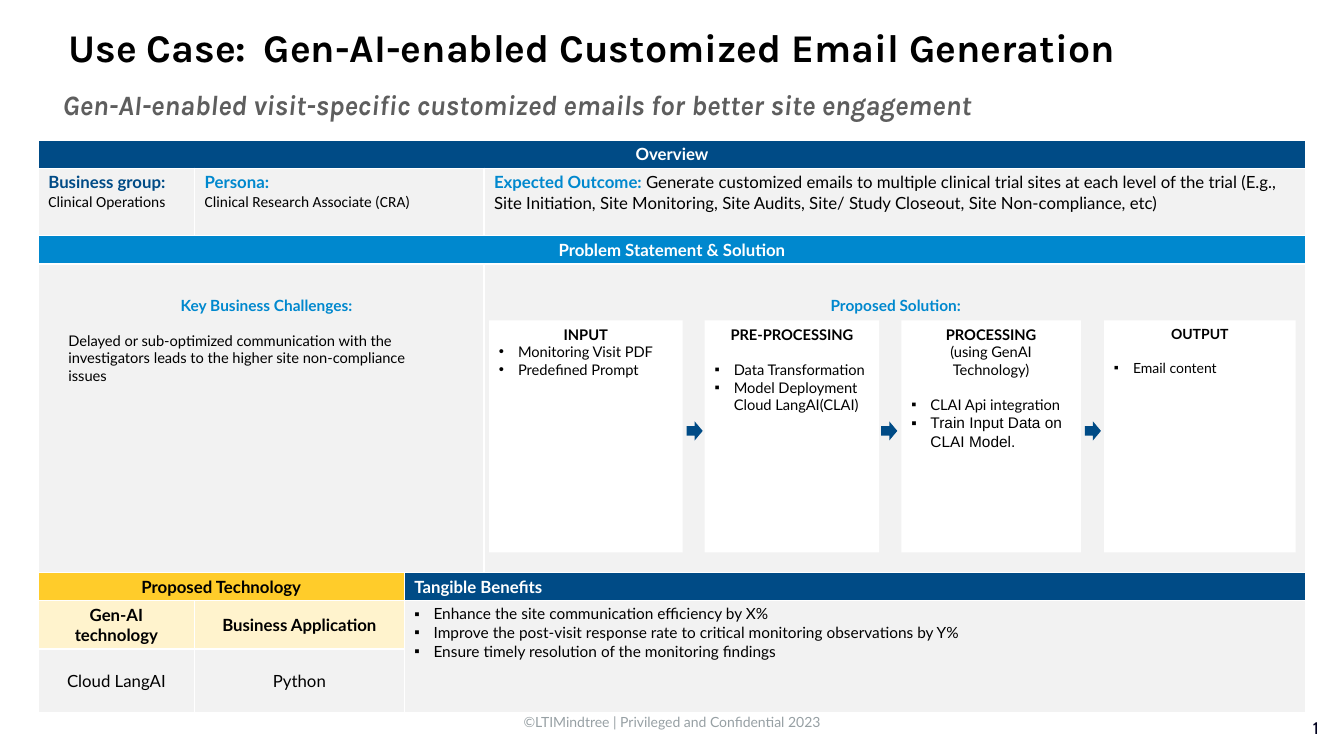
"""Build the Gen-AI customized email use case slide."""
from dataclasses import dataclass

from lxml import etree
from pptx import Presentation, util as u
from pptx.dml.color import RGBColor
from pptx.enum import shapes, text
from pptx.oxml.ns import qn


@dataclass(frozen=True)
class Theme:
    navy: str = "004B86"
    blue: str = "0088CE"
    yellow: str = "FFCC2A"
    cream: str = "FFF3CD"
    panel: str = "F2F2F2"
    white: str = "FFFFFF"
    black: str = "000000"
    grey: str = "5E5E5E"
    footer: str = "97A0A4"
    ink: str = "00001E"
    body: str = "Lato"
    heading: str = "Karla"
    title_pt: float = 28
    subtitle_pt: float = 20
    cell_pt: float = 12
    list_pt: float = 11
    step_pt: float = 10.5
    small_pt: float = 10


T = Theme()
CENTER, RIGHT = text.PP_ALIGN.CENTER, text.PP_ALIGN.RIGHT
MIDDLE, TOP = text.MSO_ANCHOR.MIDDLE, text.MSO_ANCHOR.TOP


@dataclass(frozen=True)
class Run:
    text: str
    size: float = T.cell_pt
    color: str = T.black
    bold: bool = False
    font: str = T.body
    italic: bool = False


@dataclass(frozen=True)
class Para:
    runs: tuple[Run, ...]
    align: text.PP_ALIGN = text.PP_ALIGN.LEFT
    bullet: str = ""
    before: float = 0
    after: float = 0
    spacing: float = 1.0


@dataclass(frozen=True)
class Cell:
    row: int
    col: int
    fill: str
    paras: tuple[Para, ...] = ()
    rows: int = 1
    cols: int = 1
    anchor: text.MSO_ANCHOR = MIDDLE


@dataclass(frozen=True)
class Step:
    left: float
    width: float
    paras: tuple[Para, ...]


def line(words: str, align=text.PP_ALIGN.LEFT, before: float = 0, **fmt) -> Para:
    """Return a paragraph of one run."""
    return Para((Run(words, **fmt),), align, before=before)


def item(words: str, size: float, bullet: str = "▪", before: float = 0, font: str = T.body) -> Para:
    """Return a bulleted paragraph."""
    return Para((Run(words, size, font=font),), bullet=bullet, before=before)


def head(words: str, color: str) -> Para:
    """Return a centred bold cell heading."""
    return line(words, CENTER, color=color, bold=True)


def step_head(words: str, size: float = T.step_pt) -> Para:
    """Return the heading of a process step."""
    return line(words, CENTER, size=size, bold=True)


BENEFITS = ("Enhance the site communication efficiency by X%",
            "Improve the post-visit response rate to critical monitoring observations by Y%",
            "Ensure timely resolution of the monitoring findings")
OUTCOME = ("Generate customized emails to multiple clinical trial sites at each level of the trial "
           "(E.g., Site Initiation, Site Monitoring, Site Audits, Site/ Study Closeout, "
           "Site Non-compliance, etc)")
COLS = (1.55, 2.08, 0.79, 8.15)
ROWS = (0.28, 0.67, 0.28, 3.06, 0.28, 0.48, 0.63)
CELLS = (
    Cell(0, 0, T.navy, (head("Overview", T.white),), cols=4),
    Cell(1, 0, T.panel, (line("Business group:", color=T.navy, bold=True),
                         line("Clinical Operations", size=T.list_pt, font="Calibri")), anchor=TOP),
    Cell(1, 1, T.panel, (line("Persona:", color=T.blue, bold=True),
                         line("Clinical Research Associate (CRA)", size=T.list_pt, font="Calibri")),
         cols=2, anchor=TOP),
    Cell(1, 3, T.panel, (Para((Run("Expected Outcome: ", color=T.blue, bold=True), Run(OUTCOME))),),
         anchor=TOP),
    Cell(2, 0, T.blue, (head("Problem Statement & Solution", T.white),), cols=4),
    Cell(3, 0, T.panel, cols=3),
    Cell(3, 3, T.panel),
    Cell(4, 0, T.yellow, (head("Proposed Technology", T.black),), cols=2),
    Cell(4, 2, T.navy, (line("Tangible Benefits", color=T.white, bold=True),), cols=2),
    Cell(5, 0, T.cream, (head("Gen-AI technology", T.black),)),
    Cell(5, 1, T.cream, (head("Business Application", T.black),)),
    Cell(5, 2, T.panel, tuple(item(b, T.list_pt) for b in BENEFITS), rows=2, cols=2, anchor=TOP),
    Cell(6, 0, T.panel, (line("Cloud LangAI", CENTER),)),
    Cell(6, 1, T.panel, (line("Python", CENTER),)),
)
GAP = 12.6
STEPS = (
    Step(4.85, 1.92, (step_head("INPUT"), item("Monitoring Visit PDF", T.step_pt, "•"),
                      item("Predefined Prompt", T.step_pt, "•"))),
    Step(6.99, 1.73, (step_head("PRE-PROCESSING"), item("Data Transformation", T.step_pt, before=GAP),
                      item("Model Deployment Cloud LangAI(CLAI)", T.step_pt))),
    Step(8.94, 1.78, (step_head("PROCESSING"),
                      line("(using GenAI Technology)", CENTER, size=T.step_pt),
                      item("CLAI Api integration", T.step_pt, before=GAP),
                      item("Train Input Data on CLAI Model.", T.list_pt, font="Arial"))),
    Step(10.95, 1.9, (step_head("OUTPUT", T.small_pt), item("Email content", T.small_pt, before=12))),
)
ARROWS = (6.81, 8.74, 10.76)
LABELS = (
    ((3.33, 7.03, 6.67, 0.27), line("©LTIMindtree | Privileged and Confidential 2023", CENTER,
                                    size=T.small_pt, color=T.footer)),
    ((12.27, 7.04, 0.91, 0.35), line("1", RIGHT, color=T.ink, font="Cabin")),
    ((0.48, 2.89, 4.33, 0.29), line("Key Business Challenges:", CENTER, size=T.list_pt,
                                    color=T.blue, bold=True)),
    ((4.81, 2.89, 8.15, 0.29), line("Proposed Solution:", CENTER, size=T.list_pt,
                                    color=T.blue, bold=True)),
    ((0.58, 3.24, 3.88, 0.98), line("Delayed or sub-optimized communication with the investigators "
                                    "leads to the higher site non-compliance issues", size=T.step_pt)),
)
TITLE = Para((Run("Use Case: ", T.title_pt, bold=True, font=T.heading),
              Run(" ", T.subtitle_pt, bold=True, font=T.heading),
              Run("Gen-AI-enabled Customized Email Generation", T.title_pt, bold=True, font=T.heading)),
             spacing=0.9)
SUBTITLE = Para((Run("Gen-AI-enabled visit-specific customized emails for better site engagement",
                     T.subtitle_pt, T.grey, True, T.heading, True),), spacing=0.9)


def write(tf, paras: tuple[Para, ...]) -> None:
    """Fill a text frame with formatted paragraphs."""
    for i, para in enumerate(paras):
        p = tf.paragraphs[0] if i == 0 else tf.add_paragraph()
        pPr = p._p.get_or_add_pPr()
        indent = u.Inches(0.19) if para.bullet else 0
        pPr.set("marL", str(indent))
        pPr.set("indent", str(-indent))
        if para.bullet:
            etree.SubElement(pPr, qn("a:buFont")).set("typeface", "Arial")
            etree.SubElement(pPr, qn("a:buChar")).set("char", para.bullet)
        else:
            etree.SubElement(pPr, qn("a:buNone"))
        fmt = {"alignment": para.align, "line_spacing": para.spacing,
               "space_before": u.Pt(para.before), "space_after": u.Pt(para.after)}
        for name, value in fmt.items():
            setattr(p, name, value)
        for run in para.runs:
            r = p.add_run()
            r.text = run.text
            for name, value in {"name": run.font, "size": u.Pt(run.size),
                                "bold": run.bold, "italic": run.italic}.items():
                setattr(r.font, name, value)
            r.font.color.rgb = RGBColor.from_string(run.color)


def place(sp, box: tuple[float, ...], paras: tuple[Para, ...], anchor=TOP) -> None:
    """Position a shape and write its text."""
    for name, value in zip(("left", "top", "width", "height"), box):
        setattr(sp, name, u.Inches(value))
    for name, value in {"word_wrap": True, "auto_size": text.MSO_AUTO_SIZE.NONE,
                        "vertical_anchor": anchor}.items():
        setattr(sp.text_frame, name, value)
    write(sp.text_frame, paras)


def add_block(s, kind, box: tuple[float, ...], fill: str, paras: tuple[Para, ...] = ()) -> None:
    """Add a flat filled shape."""
    sp = s.shapes.add_shape(kind, *map(u.Inches, box))
    sp.shadow.inherit = False
    sp.fill.solid()
    sp.fill.fore_color.rgb = RGBColor.from_string(fill)
    sp.line.fill.background()
    place(sp, box, paras)


def add_grid(s) -> None:
    """Add the use case table."""
    box = map(u.Inches, (0.38, 1.39, sum(COLS), sum(ROWS)))
    tbl = s.shapes.add_table(len(ROWS), len(COLS), *box).table
    tbl.first_row = tbl.horz_banding = False
    for col, width in zip(tbl.columns, COLS):
        col.width = u.Inches(width)
    for row, height in zip(tbl.rows, ROWS):
        row.height = u.Inches(height)
    for spec in CELLS:
        cell = tbl.cell(spec.row, spec.col)
        if spec.rows * spec.cols > 1:
            cell.merge(tbl.cell(spec.row + spec.rows - 1, spec.col + spec.cols - 1))
        margins = {"margin_left": 0.1, "margin_right": 0.1, "margin_top": 0.04, "margin_bottom": 0.04}
        for name, value in margins.items():
            setattr(cell, name, u.Inches(value))
        cell.vertical_anchor = spec.anchor
        tcPr = cell._tc.get_or_add_tcPr()
        for side in "LRTB":
            ln = etree.SubElement(tcPr, qn(f"a:ln{side}"), w=str(u.Pt(1)))
            etree.SubElement(etree.SubElement(ln, qn("a:solidFill")), qn("a:srgbClr"), val=T.white)
        cell.fill.solid()
        cell.fill.fore_color.rgb = RGBColor.from_string(spec.fill)
        write(cell.text_frame, spec.paras)


def main() -> None:
    """Build and save the deck."""
    prs = Presentation()
    prs.slide_width, prs.slide_height = u.Inches(13.33), u.Inches(7.5)
    s = prs.slides.add_slide(prs.slide_layouts[1])
    place(s.shapes.title, (0.58, 0.23, 12.57, 0.49), (TITLE,))
    place(s.placeholders[1], (0.52, 0.86, 12.57, 0.49), (SUBTITLE,))
    add_grid(s)
    for step in STEPS:
        add_block(s, shapes.MSO_SHAPE.RECTANGLE, (step.left, 3.18, step.width, 2.3), T.white, step.paras)
    for left in ARROWS:
        add_block(s, shapes.MSO_SHAPE.RIGHT_ARROW, (left, 4.18, 0.16, 0.19), T.navy)
    for box, para in LABELS:
        place(s.shapes.add_textbox(0, 0, 0, 0), box, (para,), MIDDLE if box[1] > 7 else TOP)
    prs.save("out.pptx")


if __name__ == "__main__":
    main()
